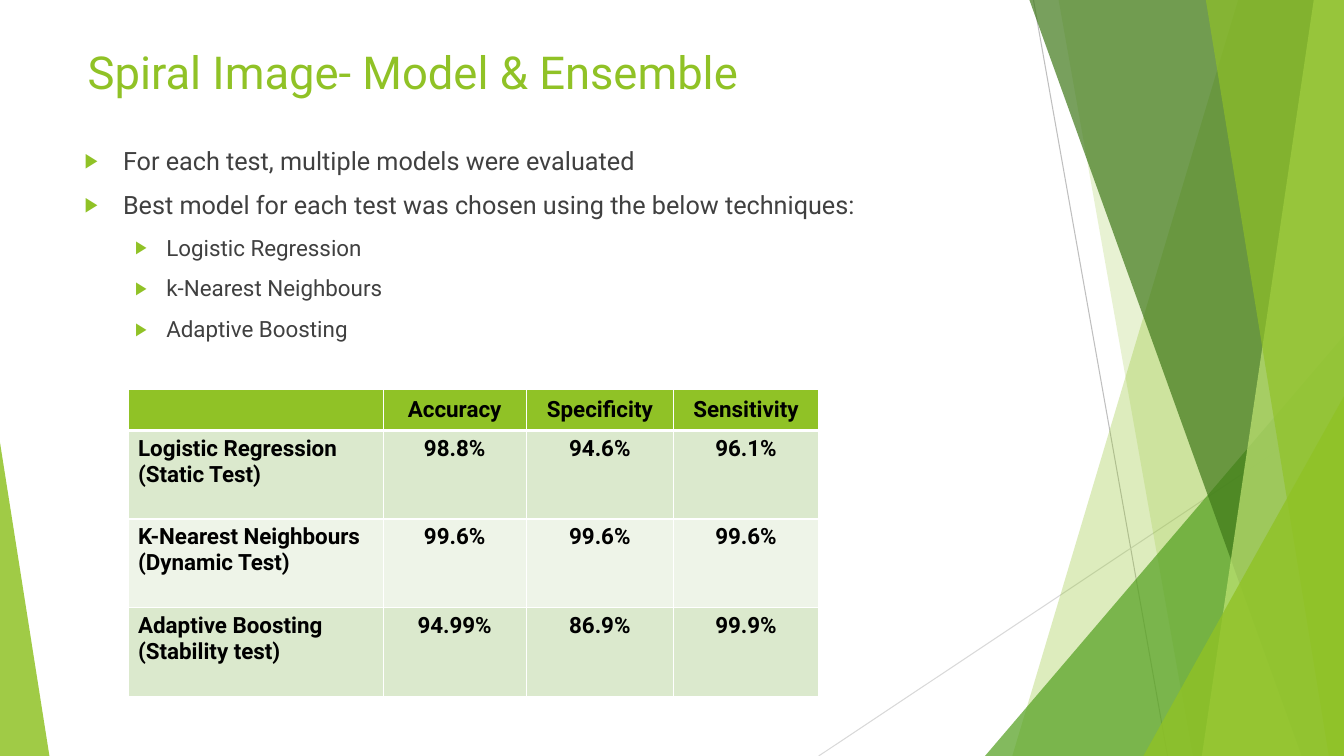
from dataclasses import dataclass

from lxml.etree import SubElement
from pptx import Presentation
from pptx.dml.color import RGBColor as RGB
from pptx.enum.shapes import MSO_CONNECTOR as CONN, MSO_SHAPE as SHAPE
from pptx.enum.text import MSO_ANCHOR as ANCHOR, MSO_AUTO_SIZE as AUTOSIZE, PP_ALIGN as ALIGN
from pptx.oxml.ns import qn
from pptx.util import Inches, Pt


@dataclass(frozen=True)
class Theme:
    font: str = "Roboto"
    accent: str = "90C226"
    leaf: str = "54A021"
    forest: str = "3F7819"
    lime: str = "C0E474"
    body: str = "404040"
    cell_text: str = "000000"
    border: str = "FFFFFF"
    bands: tuple = ("DBE9CD", "EEF4E8")
    line_dark: str = "BFBFBF"
    line_light: str = "D9D9D9"
    title_size: float = 32.4
    list_sizes: tuple = (18, 16)
    cell_size: float = 16


class SlideBuilder:
    def __init__(self, prs, theme):
        self.theme = theme
        self.s = prs.slides.add_slide(prs.slide_layouts[1])

    def run(self, p, text, size, color, bold=False):
        r = p.add_run()
        r.text = text
        r.font.name = self.theme.font
        r.font.size = Pt(size)
        r.font.bold = bold
        r.font.color.rgb = RGB.from_string(color)

    def line(self, start, end, color):
        ln = self.s.shapes.add_connector(CONN.STRAIGHT, *map(Inches, start + end))
        ln.line.color.rgb = RGB.from_string(color)
        ln.line.width = Pt(0.75)
        SubElement(ln._element.spPr, qn("a:effectLst"))

    def paint(self, sp, color, opacity):
        sp.shadow.inherit = False
        sp.line.fill.background()
        sp.fill.solid()
        sp.fill.fore_color.rgb = RGB.from_string(color)
        clr = sp._element.spPr.find(qn("a:solidFill"))[0]
        SubElement(clr, qn("a:alpha"), val=str(opacity * 1000))

    def blade(self, top_left, bottom_left, right, height, color, opacity):
        corners = [(right, 0), (right, height), (bottom_left, height)]
        outline = self.s.shapes.build_freeform(Inches(top_left), 0)
        outline.add_line_segments([(Inches(x), Inches(y)) for x, y in corners])
        self.paint(outline.convert_to_shape(), color, opacity)

    def triangle(self, box, apex, color, opacity):
        sp = self.s.shapes.add_shape(SHAPE.ISOSCELES_TRIANGLE, *map(Inches, box))
        sp.adjustments[0] = apex
        self.paint(sp, color, opacity)

    def place(self, sp, box):
        self.s.shapes._spTree.append(sp._element)
        sp.left, sp.top, sp.width, sp.height = map(Inches, box)
        tf = sp.text_frame
        tf.word_wrap = True
        tf.auto_size = AUTOSIZE.NONE
        tf.vertical_anchor = ANCHOR.TOP
        return tf

    def title(self, text, box):
        tf = self.place(self.s.shapes.title, box)
        tf.margin_top = Inches(0.09)
        p = tf.paragraphs[0]
        p.alignment = ALIGN.LEFT
        self.run(p, text, self.theme.title_size, self.theme.accent)

    def bullets(self, items, box):
        tf = self.place(self.s.placeholders[1], box)
        indents = ((0.38, -0.38), (0.81, -0.31))
        for i, (level, text) in enumerate(items):
            p = tf.add_paragraph() if i else tf.paragraphs[0]
            p.level = level
            p.space_before = Pt(10 if i else 0)
            pPr = p._p.get_or_add_pPr()
            for name, value in zip(("marL", "indent"), indents[level]):
                pPr.set(name, str(Inches(value)))
            bullet_color = SubElement(pPr, qn("a:buClr"))
            SubElement(bullet_color, qn("a:srgbClr"), val=self.theme.accent)
            SubElement(pPr, qn("a:buSzPct"), val="80000")
            SubElement(pPr, qn("a:buChar"), char="▶")
            self.run(p, text, self.theme.list_sizes[level], self.theme.body)

    def cell(self, cell, lines, fill, header, centred):
        tcPr = cell._tc.get_or_add_tcPr()
        for side in "LRTB":
            width = Pt(3 if header and side == "B" else 1)
            ln = SubElement(tcPr, qn(f"a:ln{side}"), w=str(width))
            SubElement(SubElement(ln, qn("a:solidFill")), qn("a:srgbClr"), val=self.theme.border)
        cell.fill.solid()
        cell.fill.fore_color.rgb = RGB.from_string(fill)
        if header:
            cell.vertical_anchor = ANCHOR.MIDDLE
            cell.margin_left = cell.margin_right = Inches(0.07)
            cell.margin_top = cell.margin_bottom = 0
        tf = cell.text_frame
        for i, text in enumerate(lines):
            p = tf.add_paragraph() if i else tf.paragraphs[0]
            p.alignment = ALIGN.CENTER if centred else ALIGN.LEFT
            self.run(p, text, self.theme.cell_size, self.theme.cell_text, bold=True)

    def table(self, rows, box, widths, heights):
        frame = self.s.shapes.add_table(len(rows), len(widths), *map(Inches, box))
        tbl = frame.table
        for col, width in zip(tbl.columns, widths):
            col.width = Inches(width)
        for r, (row, height) in enumerate(zip(rows, heights)):
            tbl.rows[r].height = Inches(height)
            fill = self.theme.bands[(r - 1) % 2] if r else self.theme.accent
            for c, text in enumerate(row):
                lines = text.split("\n") if text else []
                self.cell(tbl.cell(r, c), lines, fill, r == 0, c > 0)


def main():
    prs = Presentation()
    width, height = 13.33, 7.5
    prs.slide_width, prs.slide_height = Inches(width), Inches(height)
    theme = Theme()
    slide = SlideBuilder(prs, theme)

    slide.line((10.25, 0), (11.58, height), theme.line_dark)
    slide.line((width, 4.03), (8.12, height), theme.line_light)
    slide.blade(12.28, 10.04, width, height, theme.accent, 30)
    slide.blade(10.5, 11.83, width, height, theme.accent, 20)
    slide.triangle((9.77, 3.33, 3.56, 4.17), 1, theme.leaf, 72)
    slide.blade(10.21, 12.91, width, height, theme.forest, 70)
    slide.blade(13.03, 11.92, width, height, theme.lime, 70)
    slide.blade(11.96, 13.18, width, height, theme.accent, 65)
    slide.triangle((11.34, 3.93, 1.99, 3.57), 1, theme.accent, 80)
    slide.triangle((0, 4.39, 0.49, 3.11), 0, theme.accent, 85)

    slide.title("Spiral Image- Model & Ensemble", (0.77, 0.35, 9.4, 0.52))
    slide.bullets(
        [
            (0, "For each test, multiple models were evaluated"),
            (0, "Best model for each test was chosen using the below techniques:"),
            (1, "Logistic Regression"),
            (1, "k-Nearest Neighbours"),
            (1, "Adaptive Boosting"),
        ],
        (0.74, 1.39, 9.4, 5.7),
    )
    slide.table(
        [
            ("", "Accuracy", "Specificity", "Sensitivity"),
            ("Logistic Regression\n(Static Test)", "98.8%", "94.6%", "96.1%"),
            ("K-Nearest Neighbours\n(Dynamic Test)", "99.6%", "99.6%", "99.6%"),
            ("Adaptive Boosting\n(Stability test)", "94.99%", "86.9%", "99.9%"),
        ],
        (1.27, 3.86, 6.84, 3.07),
        (2.53, 1.42, 1.46, 1.44),
        (0.41, 0.88, 0.88, 0.88),
    )
    prs.save("out.pptx")


if __name__ == "__main__":
    main()
